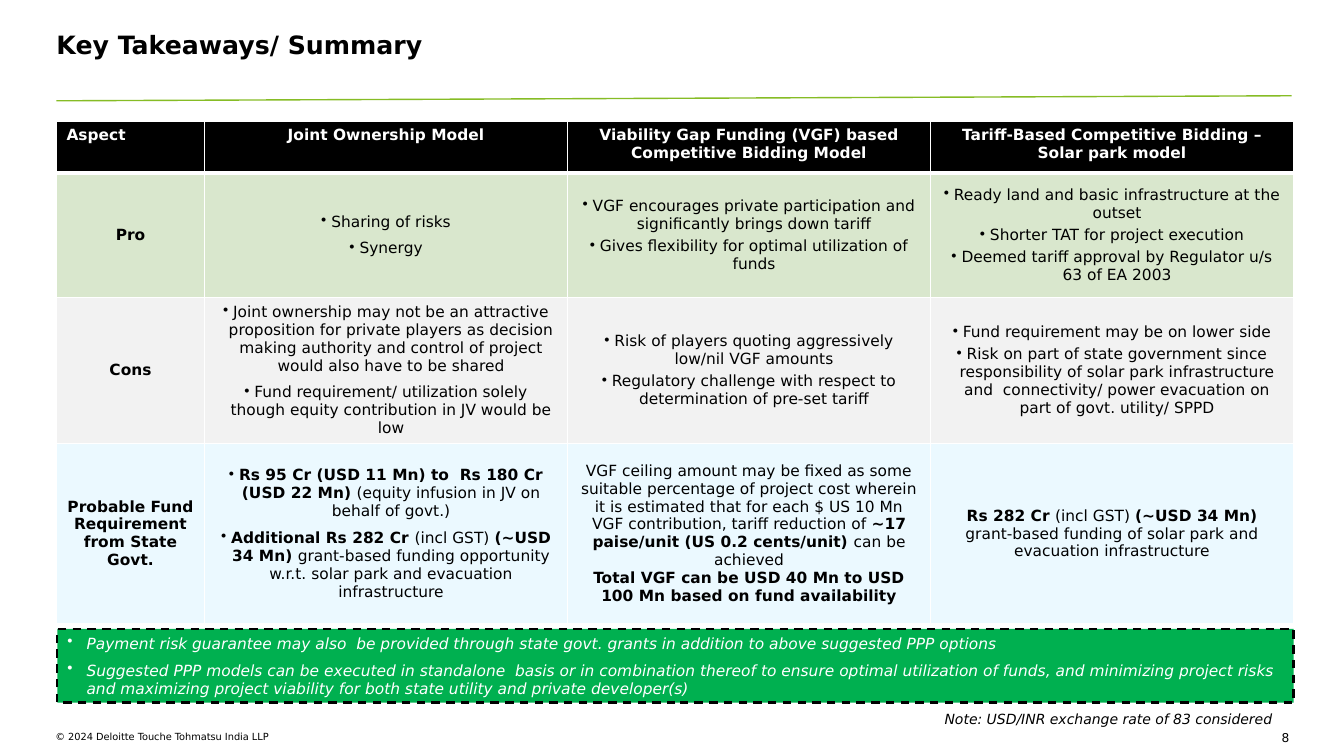
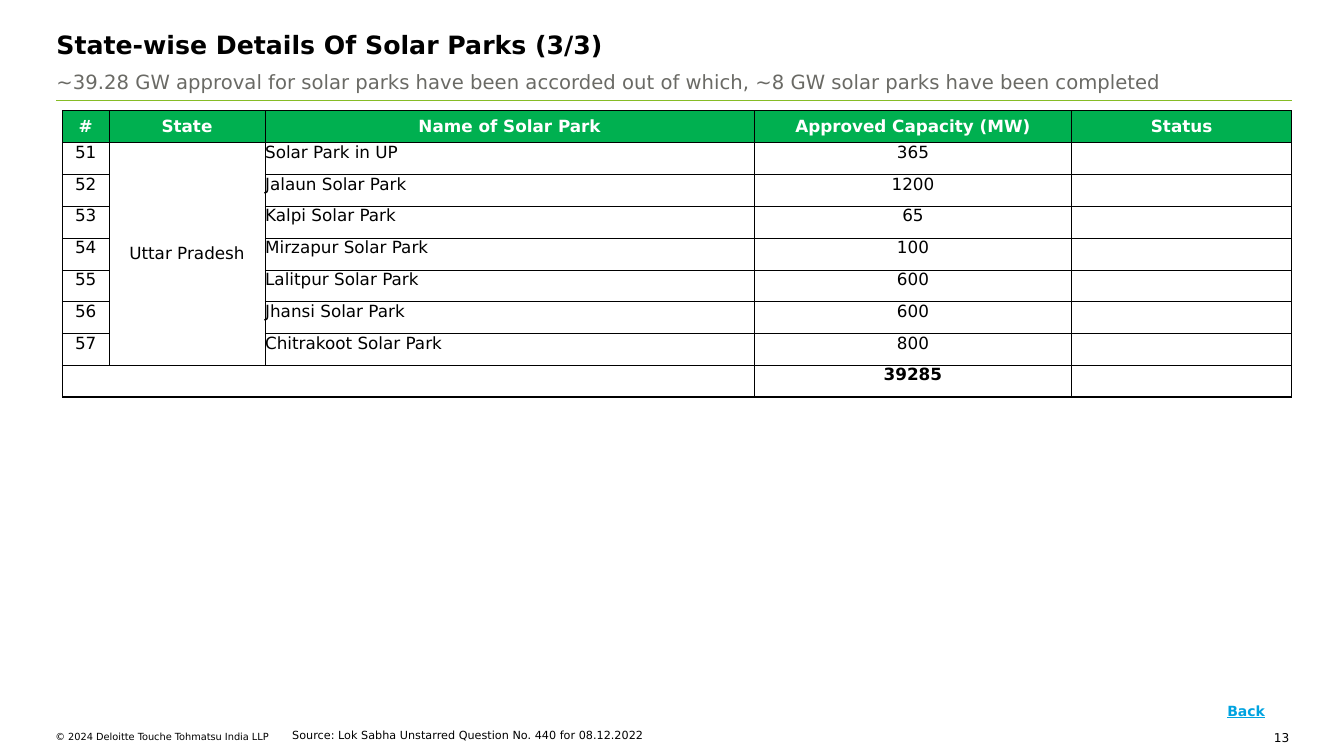
from lxml import etree
from pptx import Presentation
from pptx import util as u
from pptx.dml.color import RGBColor
from pptx.enum import dml, shapes, text
from pptx.oxml import ns

COLORS = {
    "black": "000000", "white": "FFFFFF", "green": "00B050", "lime": "86BC25",
    "gray": "6A6A65", "link": "00A3E0",
    "pro": "D9E7CD", "cons": "F2F2F2", "funds": "EBF9FF",
}
FONT = "DejaVu Sans"
WIDTH, HEIGHT = 13.33, 7.5
LEFT, RIGHT = 0.56, 12.81
ALIGN, ANCHOR = text.PP_ALIGN, text.MSO_ANCHOR
RGB = {name: RGBColor.from_string(value) for name, value in COLORS.items()}


def write(frame, paragraphs, size, color="black", align=ALIGN.LEFT, bold=False,
          italic=False, underline=None, indent=0, after=0, spacing=None):
    """Fill a text frame; **marks** set bold runs, an indent adds bullets."""
    frame.word_wrap = True
    for i, content in enumerate(paragraphs):
        para = frame.paragraphs[0] if i == 0 else frame.add_paragraph()
        if indent:
            props = para._p.get_or_add_pPr()
            props.set("marL", str(u.Inches(indent)))
            props.set("indent", str(-u.Inches(indent)))
            etree.SubElement(props, ns.qn("a:buChar")).set("char", "•")
        para.alignment = align
        para.space_after = u.Pt(after)
        if spacing:
            para.line_spacing = spacing
        if not content:
            para._p.get_or_add_endParaRPr().set("sz", str(size * 100))
        for part, piece in enumerate(content.split("**")):
            if piece:
                run = para.add_run()
                run.text = piece
                font = run.font
                font.name, font.size = FONT, u.Pt(size)
                font.bold, font.italic = bold or part % 2 == 1, italic
                font.underline = underline
                font.color.rgb = RGB[color]


def style_cell(cell, fill, line, widths, margins=None):
    """Draw the left, right, top and bottom borders, then the fill."""
    props = cell._tc.get_or_add_tcPr()
    for side, width in zip("LRTB", widths):
        border = etree.SubElement(props, ns.qn(f"a:ln{side}"), w=str(u.Pt(width)))
        solid = etree.SubElement(border, ns.qn("a:solidFill"))
        etree.SubElement(solid, ns.qn("a:srgbClr"), val=COLORS[line])
    if fill:
        cell.fill.solid()
        cell.fill.fore_color.rgb = RGB[fill]
    else:
        cell.fill.background()
    if margins is not None:
        cell.margin_left = cell.margin_right = u.Inches(margins)
        cell.margin_top = cell.margin_bottom = u.Inches(margins)


prs = Presentation()
prs.slide_width, prs.slide_height = u.Inches(WIDTH), u.Inches(HEIGHT)

# Shared title, rule, copyright line and page number
pages = [("Key Takeaways/ Summary", "8", 0.95),
         ("State-wise Details Of Solar Parks (3/3)", "13", 1)]
for heading, number, rule_end in pages:
    slide = prs.slides.add_slide(prs.slide_layouts[5])
    title = slide.shapes.title
    title.left, title.top = u.Inches(LEFT), u.Inches(0.29)
    title.width, title.height = u.Inches(RIGHT - LEFT), u.Inches(0.4)
    copyright_line = slide.shapes.add_textbox(
        u.Inches(0.55), u.Inches(7.25), u.Inches(5.86), u.Inches(0.22))
    page_number = slide.shapes.add_textbox(
        u.Inches(12.45), u.Inches(7.25), u.Inches(0.34), u.Inches(0.11))
    for box in (title, copyright_line, page_number):
        frame = box.text_frame
        frame.margin_left = frame.margin_right = 0
        frame.margin_top = frame.margin_bottom = 0
        frame.vertical_anchor = ANCHOR.TOP
        frame.auto_size = text.MSO_AUTO_SIZE.NONE
    write(title.text_frame, [heading], 18, bold=True)
    write(copyright_line.text_frame, ["© 2024 Deloitte Touche Tohmatsu India LLP"], 7)
    write(page_number.text_frame, [number], 8.7, align=ALIGN.RIGHT)
    rule = slide.shapes.add_connector(
        shapes.MSO_CONNECTOR.STRAIGHT, u.Inches(LEFT), u.Inches(1),
        u.Inches(RIGHT), u.Inches(rule_end))
    rule.line.color.rgb, rule.line.width = RGB["lime"], u.Pt(1)
    etree.SubElement(rule._element.spPr, ns.qn("a:effectLst"))
summary, parks = prs.slides

# Summary: comparison of the models; each entry is (bullet gap, paragraphs)
models = ["Aspect", "Joint Ownership Model",
          "Viability Gap Funding (VGF) based Competitive Bidding Model",
          "Tariff-Based Competitive Bidding – Solar park model"]
aspects = [
    ("Pro", "pro", [
        (6, ["Sharing of risks", "Synergy"]),
        (3, ["VGF encourages private participation and significantly brings down tariff",
             "Gives flexibility for optimal utilization of funds"]),
        (3, ["Ready land and basic infrastructure at the outset",
             "Shorter TAT for project execution",
             "Deemed tariff approval by Regulator u/s 63 of EA 2003"])]),
    ("Cons", "cons", [
        (6, ["Joint ownership may not be an attractive proposition for private players as "
             "decision making authority and control of project would also have to be shared",
             "Fund requirement/ utilization solely though equity contribution in JV would be low"]),
        (3, ["Risk of players quoting aggressively low/nil VGF amounts",
             "Regulatory challenge with respect to determination of pre-set tariff"]),
        (3, ["Fund requirement may be on lower side",
             "Risk on part of state government since responsibility of solar park infrastructure "
             "and  connectivity/ power evacuation on part of govt. utility/ SPPD"])]),
    ("Probable Fund Requirement from State Govt.", "funds", [
        (6, ["**Rs 95 Cr (USD 11 Mn) to  Rs 180 Cr (USD 22 Mn) **"
             "(equity infusion in JV on behalf of govt.)",
             "**Additional Rs 282 Cr **(incl GST) **(~USD 34 Mn) **grant-based funding "
             "opportunity w.r.t. solar park and evacuation infrastructure"]),
        (0, ["VGF ceiling amount may be fixed as some suitable percentage of project cost "
             "wherein it is estimated that for each $ US 10 Mn VGF contribution, tariff "
             "reduction of **~17 paise/unit (US 0.2 cents/unit) **can be achieved",
             "**Total VGF can be USD 40 Mn to USD 100 Mn based on fund availability**"]),
        (0, ["**Rs 282 Cr **(incl GST) **(~USD 34 Mn) **grant-based funding of solar park "
             "and evacuation infrastructure"])]),
]
model_widths, model_heights = [1.47] + [3.6] * 3, [0.52, 1.23, 1.45, 1.79]
comparison = summary.shapes.add_table(
    4, 4, u.Inches(LEFT), u.Inches(1.2),
    u.Inches(sum(model_widths)), u.Inches(sum(model_heights))).table
for column, width in zip(comparison.columns, model_widths):
    column.width = u.Inches(width)
for row, height in zip(comparison.rows, model_heights):
    row.height = u.Inches(height)
for c, model in enumerate(models):
    cell = comparison.cell(0, c)
    style_cell(cell, "black", "white", (1, 1, 1, 3))
    write(cell.text_frame, [model], 11, "white",
          ALIGN.CENTER if c else ALIGN.LEFT, bold=True)
for r, (aspect, tint, entries) in enumerate(aspects, 1):
    for c, (gap, points) in enumerate([(0, [aspect])] + entries):
        cell = comparison.cell(r, c)
        style_cell(cell, tint, "white", (1, 1, 3 if r == 1 else 1, 1))
        cell.vertical_anchor = ANCHOR.MIDDLE
        write(cell.text_frame, points, 11, align=ALIGN.CENTER, bold=c == 0,
              indent=0.1 if gap else 0, after=gap)

# Summary: recommendation band and exchange rate note
band = summary.shapes.add_shape(
    shapes.MSO_SHAPE.RECTANGLE, u.Inches(0.57), u.Inches(6.24),
    u.Inches(12.26), u.Inches(0.73))
band.shadow.inherit = False
band.fill.solid()
band.fill.fore_color.rgb = RGB["green"]
band.line.color.rgb, band.line.width = RGB["black"], u.Pt(1.5)
band.line.dash_style = dml.MSO_LINE.DASH
write(band.text_frame, [
    "Payment risk guarantee may also  be provided through state govt. grants in addition "
    "to above suggested PPP options",
    "Suggested PPP models can be executed in standalone  basis or in combination thereof to "
    "ensure optimal utilization of funds, and minimizing project risks and maximizing "
    "project viability for both state utility and private developer(s)",
], 11, "white", italic=True, indent=0.19, after=6)
rate_note = summary.shapes.add_textbox(
    u.Inches(9.27), u.Inches(7.01), u.Inches(3.89), u.Inches(0.23))
write(rate_note.text_frame, ["Note: USD/INR exchange rate of 83 considered"], 10,
      align=ALIGN.JUSTIFY, italic=True, spacing=1.06)

# Parks: subtitle and source
subtitle = parks.shapes.add_textbox(
    u.Inches(LEFT), u.Inches(0.64), u.Inches(RIGHT - LEFT), u.Inches(0.36))
subtitle.text_frame.margin_left = subtitle.text_frame.margin_right = 0
write(subtitle.text_frame, [
    "~39.28 GW approval for solar parks have been accorded out of which, "
    "~8 GW solar parks have been completed"], 14, "gray", after=6)
source = parks.shapes.add_textbox(
    u.Inches(2.8), u.Inches(7.17), u.Inches(6.67), u.Inches(0.23))
write(source.text_frame,
      ["Source: Lok Sabha Unstarred Question No. 440 for 08.12.2022"], 8, spacing=1.06)

# Parks: capacity table
capacities = [("Solar Park in UP", 365), ("Jalaun Solar Park", 1200),
              ("Kalpi Solar Park", 65), ("Mirzapur Solar Park", 100),
              ("Lalitpur Solar Park", 600), ("Jhansi Solar Park", 600),
              ("Chitrakoot Solar Park", 800)]
park_rows = [["#", "State", "Name of Solar Park", "Approved Capacity (MW)", "Status"]]
for i, (park, capacity) in enumerate(capacities):
    park_rows.append([str(51 + i), "" if i else "Uttar Pradesh", park, str(capacity), ""])
park_rows.append(["", "", "", "39285", ""])
park_widths, row_height = [0.46, 1.55, 4.85, 3.15, 2.18], 2.84 / 9
last_row, last_col = len(park_rows) - 1, len(park_widths) - 1
register = parks.shapes.add_table(
    last_row + 1, last_col + 1, u.Inches(0.62), u.Inches(1.1),
    u.Inches(sum(park_widths)), u.Inches(row_height * len(park_rows))).table
for column, width in zip(register.columns, park_widths):
    column.width = u.Inches(width)
for r, values in enumerate(park_rows):
    register.rows[r].height = u.Inches(row_height)
    for c, value in enumerate(values):
        cell = register.cell(r, c)
        edges = (c == 0, c == last_col, r == 0, r == last_row)
        style_cell(cell, None if r else "green", "black",
                   [1 if edge else 0.5 for edge in edges], margins=0)
        cell.vertical_anchor = ANCHOR.MIDDLE if r == 0 or c == 1 else ANCHOR.TOP
        write(cell.text_frame, [value], 12, "black" if r else "white",
              ALIGN.LEFT if r and c == 2 else ALIGN.CENTER, bold=r in (0, last_row))
register.cell(1, 1).merge(register.cell(last_row - 1, 1))
register.cell(last_row, 0).merge(register.cell(last_row, 2))

# Parks: back arrow
back = parks.shapes.add_shape(
    shapes.MSO_SHAPE.LEFT_ARROW, u.Inches(11.84), u.Inches(6.89),
    u.Inches(0.96), u.Inches(0.32))
back.shadow.inherit = False
back.fill.background()
back.line.fill.background()
write(back.text_frame, ["Back"], 10, "link", ALIGN.CENTER,
      bold=True, underline=True, spacing=1.06)

# Insets of the middle-anchored boxes
for box in (band, rate_note, back):
    frame = box.text_frame
    frame.vertical_anchor = ANCHOR.MIDDLE
    frame.margin_left = frame.margin_right = u.Inches(0.1)
    frame.margin_top = frame.margin_bottom = u.Inches(0.1)

prs.save("out.pptx")
